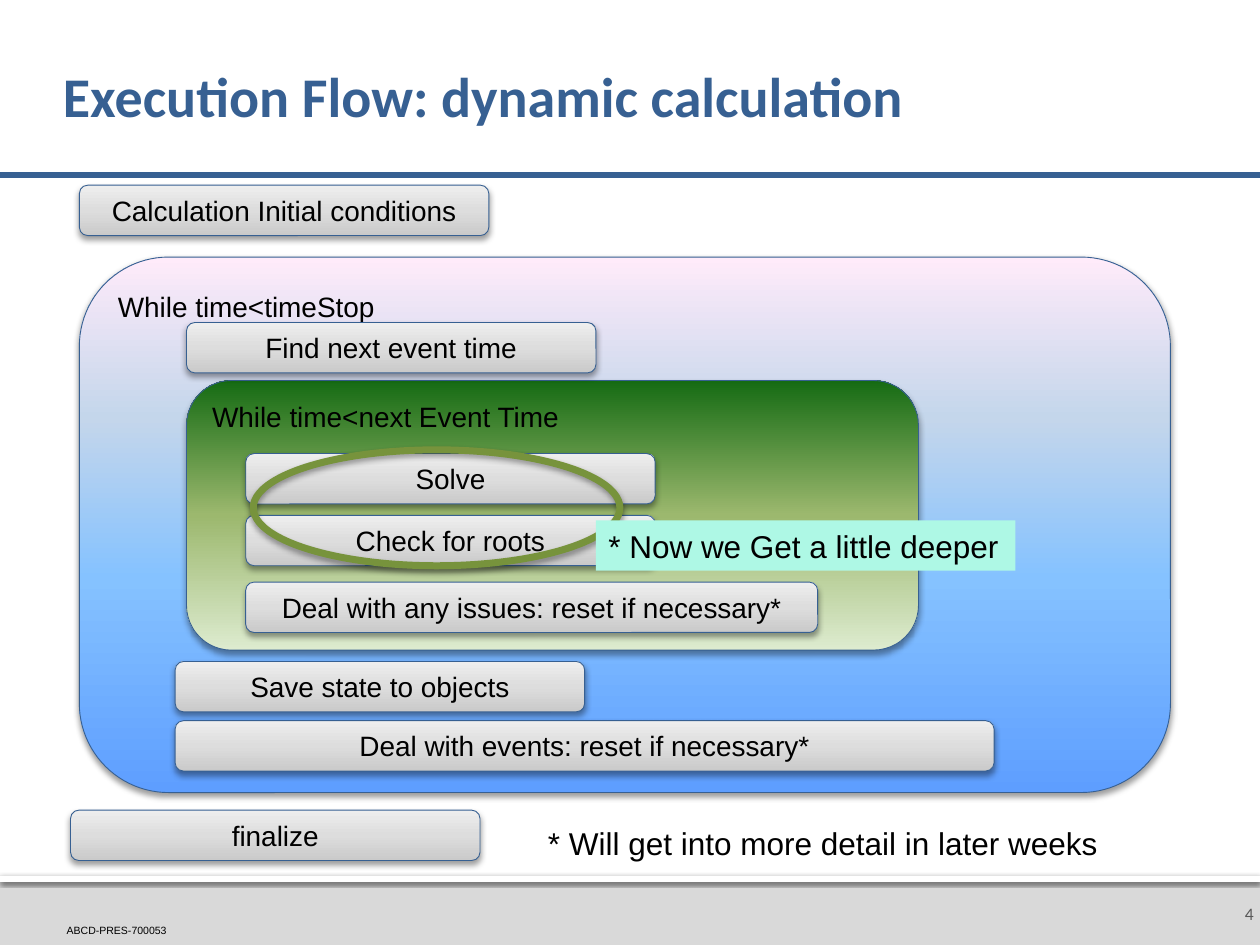
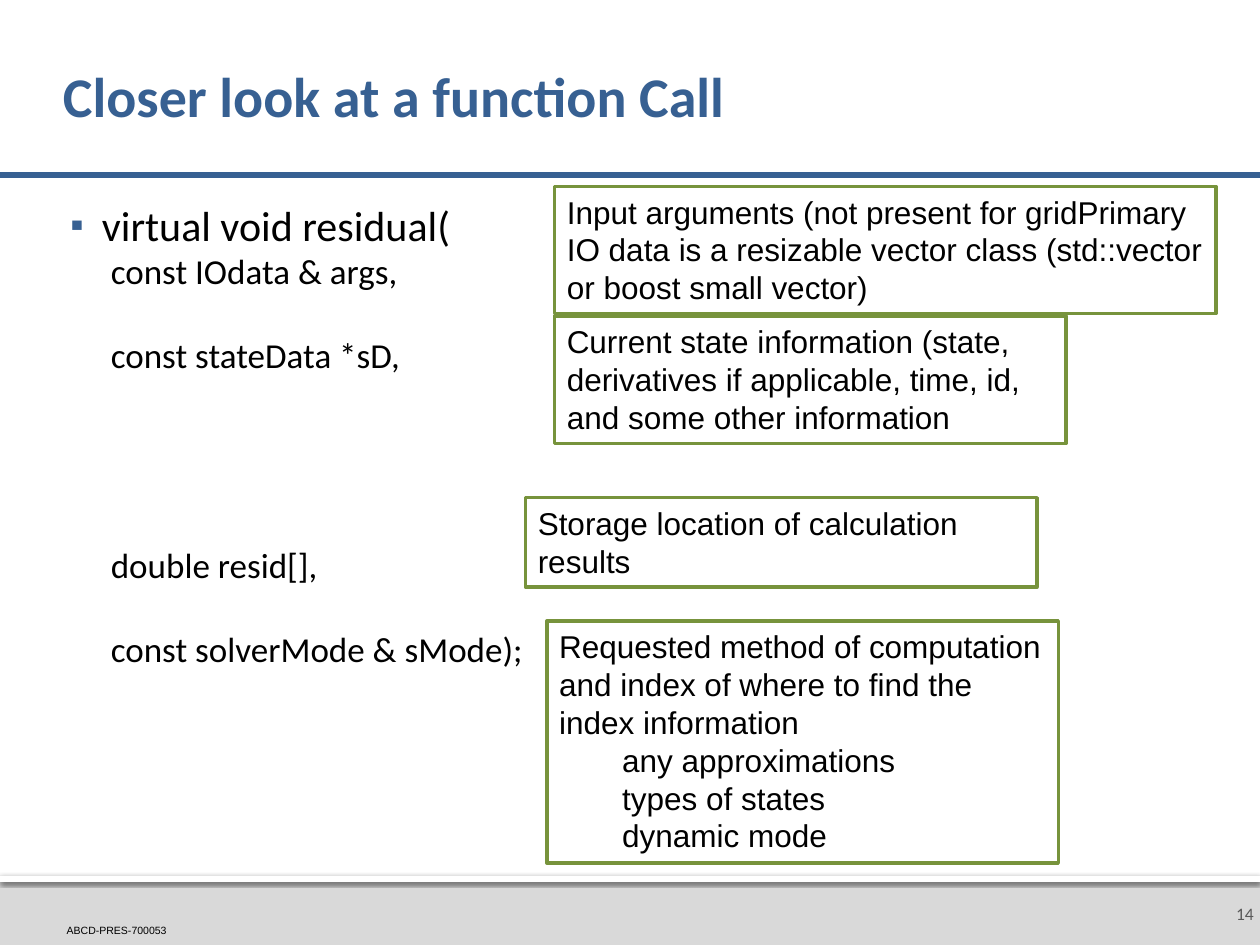
"""Build two slides on the execution flow and function calls of a grid simulator."""
from lxml.etree import SubElement
from pptx import Presentation
from pptx.dml.color import RGBColor as Rgb
from pptx.enum.shapes import MSO_CONNECTOR as Link, MSO_SHAPE as Kind
from pptx.enum.text import MSO_ANCHOR as Anchor, PP_ALIGN as Align
from pptx.oxml.ns import qn
from pptx.util import Inches, Pt

THEME = {
    "blue": "376092", "green": "77933C", "band": "D9D9D9", "white": "FFFFFF",
    "black": "000000", "number": "595959", "mint": "AEF8E5",
    "silver": [(0, "CACACA"), (50, "DDDDDD"), (100, "EEEEEE")],
    "sky": [(0, "5E9EFF"), (40, "85C2FF"), (70, "C4D6EB"), (100, "FFEBFA")],
    "forest": [(0, "DDEBCF"), (50, "9CB86E"), (100, "156B13")],
    "heading": "Calibri", "plain": "Arial",
    "title_size": Pt(32), "call_size": Pt(24), "argument_size": Pt(20),
    "note_size": Pt(18), "step_size": Pt(16), "number_size": Pt(10), "code_size": Pt(6),
    "soft": (38, 3.5, 2), "strip": (60, 2.5, 0.8),
}

deck = Presentation()
deck.slide_width, deck.slide_height = Inches(10), Inches(7.5)
COLUMNS, ROWS = 100, 75
column, row = deck.slide_width / COLUMNS, deck.slide_height / ROWS

FRAME_KEYS = ("word_wrap", "vertical_anchor", "margin_left", "margin_top",
              "margin_right", "margin_bottom")
PARA_KEYS = ("alignment", "line_spacing", "space_before")
FONT_KEYS = ("name", "size", "bold")

BASE = {"word_wrap": True, "vertical_anchor": Anchor.TOP, "alignment": Align.LEFT,
        "name": THEME["plain"], "size": THEME["note_size"], "color": THEME["black"]}
NO_MARGINS = dict.fromkeys(FRAME_KEYS[2:], 0)
TITLE = {"name": THEME["heading"], "size": THEME["title_size"], "bold": True,
         "color": THEME["blue"], "line_spacing": 0.9, "vertical_anchor": Anchor.MIDDLE,
         "margin_left": 0, "margin_right": Inches(0.05)}
CODE = NO_MARGINS | {"size": THEME["code_size"], "vertical_anchor": Anchor.BOTTOM}
NUMBER = {"name": THEME["heading"], "size": THEME["number_size"], "color": THEME["number"],
          "alignment": Align.RIGHT, "vertical_anchor": Anchor.MIDDLE,
          "margin_right": Inches(0.05)}
RAISED = {"line": THEME["blue"], "weight": 0.5, "shadow": THEME["soft"],
          "size": THEME["step_size"]}
STEP = RAISED | {"fill": THEME["silver"], "alignment": Align.CENTER,
                 "vertical_anchor": Anchor.BOTTOM}
RING = {"line": THEME["green"], "weight": 4, "shadow": THEME["soft"]}
NOTE = {"line": THEME["green"], "weight": 2}
CALL = NO_MARGINS | {"name": THEME["heading"], "size": THEME["argument_size"]}


def paint(box, style):
    """Set the fill, outline and shadow of a box."""
    properties = box._element.spPr
    fill = style.get("fill")
    if isinstance(fill, list):
        gradient = SubElement(properties, qn("a:gradFill"), rotWithShape="1")
        stops = SubElement(gradient, qn("a:gsLst"))
        for share, color in fill:
            stop = SubElement(stops, qn("a:gs"), pos=str(share * 1000))
            SubElement(stop, qn("a:srgbClr"), val=color)
        SubElement(gradient, qn("a:lin"), ang=str(270 * 60000), scaled="0")
    elif fill:
        box.fill.solid()
        box.fill.fore_color.rgb = Rgb.from_string(fill)
    else:
        box.fill.background()
    if "line" in style:
        box.line.color.rgb = Rgb.from_string(style["line"])
        box.line.width = Pt(style["weight"])
    else:
        box.line.fill.background()
    box.shadow.inherit = False
    if "shadow" in style:
        opacity, blur, distance = style["shadow"]
        shadow = SubElement(properties.find(qn("a:effectLst")), qn("a:outerShdw"),
                            blurRad=str(Pt(blur)), dist=str(Pt(distance)),
                            dir=str(90 * 60000), rotWithShape="0")
        tint = SubElement(shadow, qn("a:srgbClr"), val=THEME["black"])
        SubElement(tint, qn("a:alpha"), val=str(opacity * 1000))


def add_box(page, kind, at, style, *lines):
    """Place a box on the grid; a line is a text or a (text, format) pair."""
    left, top, width, height = at
    place = [round(size) for size in (left * column, top * row, width * column, height * row)]
    box = page.shapes.add_shape(kind, *place) if kind else page.shapes.add_textbox(*place)
    paint(box, style)
    style = BASE | style
    frame = box.text_frame
    for key in FRAME_KEYS:
        if key in style:
            setattr(frame, key, style[key])
    for index, line in enumerate(lines):
        text, extra = (line, {}) if isinstance(line, str) else line
        look = style | extra
        para = frame.add_paragraph() if index else frame.paragraphs[0]
        span = para.add_run()
        span.text = text
        for target, keys in ((para, PARA_KEYS), (span.font, FONT_KEYS)):
            for key in keys:
                if key in look:
                    setattr(target, key, look[key])
        span.font.color.rgb = Rgb.from_string(look["color"])
        settings = para._p.get_or_add_pPr()
        if "left" in look:
            settings.set("marL", str(Inches(look["left"])))
            settings.set("indent", str(Inches(look.get("hang", 0))))
        if "bullet" in look:
            color = SubElement(settings, qn("a:buClr"))
            SubElement(color, qn("a:srgbClr"), val=THEME["blue"])
            SubElement(settings, qn("a:buSzPct"), val="90000")
            SubElement(settings, qn("a:buFont"), typeface=THEME["plain"])
            SubElement(settings, qn("a:buChar"), char=look["bullet"])


pages = []
for title, number in (("Execution Flow: dynamic calculation", "4"),
                      ("Closer look at a function Call", "14")):
    page = deck.slides.add_slide(deck.slide_layouts[6])
    add_box(page, Kind.RECTANGLE, (0, 69.5, COLUMNS, 5.5), {"fill": THEME["band"]})
    add_box(page, Kind.RECTANGLE, (0, 69.5, COLUMNS, 0.5),
            {"fill": THEME["white"], "shadow": THEME["strip"]})
    add_box(page, None, (5.3, 73.3, 9.6, 1), CODE, "ABCD-PRES-700053")
    add_box(page, None, (96.5, 70, 3.5, 5), NUMBER, number)
    rule_top = round(13.9 * row)
    rule = page.shapes.add_connector(Link.STRAIGHT, 0, rule_top, deck.slide_width, rule_top)
    rule.line.color.rgb = Rgb.from_string(THEME["blue"])
    rule.line.width = Pt(3)
    SubElement(rule._element.spPr, qn("a:effectLst"))
    add_box(page, None, (5, 2.4, 90, 11), TITLE, title)
    pages.append(page)

flow, function = pages

for at, fill, condition in (
    ((6.3, 20.4, 86.6, 42.5), "sky", "While time<timeStop"),
    ((14.8, 30.2, 58.1, 21.4), "forest", "While time<next Event Time"),
):
    add_box(flow, Kind.ROUNDED_RECTANGLE, at, RAISED | {"fill": THEME[fill]}, condition)

STEP_WIDTH, STEP_HEIGHT = 32.5, 4
for left, top, width, step in (
    (6.3, 14.7, STEP_WIDTH, "Calculation Initial conditions"),
    (14.8, 25.6, STEP_WIDTH, "Find next event time"),
    (19.5, 36, STEP_WIDTH, "Solve"),
    (19.5, 40.9, STEP_WIDTH, "Check for roots"),
    (19.5, 46.2, 45.4, "Deal with any issues: reset if necessary*"),
    (13.9, 52.5, STEP_WIDTH, "Save state to objects"),
    (13.9, 57.2, 2 * STEP_WIDTH, "Deal with events: reset if necessary*"),
    (5.6, 64.3, STEP_WIDTH, "finalize"),
):
    add_box(flow, Kind.ROUNDED_RECTANGLE, (left, top, width, STEP_HEIGHT), STEP, step)

add_box(flow, None, (42.5, 64.9, 46.1, 4), {"word_wrap": False},
        "* Will get into more detail in later weeks")
add_box(flow, Kind.OVAL, (20.1, 35.7, 29.1, 9.2), RING)
add_box(flow, Kind.RECTANGLE, (47.3, 41.3, 33.3, 4),
        {"fill": THEME["mint"], "word_wrap": False}, "* Now we Get a little deeper")

LINE = 24
arguments = [(text, {"left": 0.38, "space_before": Pt(gap * LINE)}) for text, gap in (
    ("const IOdata & args,", 0),
    ("const stateData *sD,", 1),
    ("double resid[],", 4),
    ("const solverMode & sMode);", 1),
)]
add_box(function, None, (5, 15.8, 90, 53.7), CALL,
        ("virtual void residual(", {"size": THEME["call_size"], "left": 0.31,
                                    "hang": -0.25, "bullet": "▪"}),
        *arguments)

NOTE_WIDTH = 40.6
modes = [(text, {"left": 0.5})
         for text in ("any approximations", "types of states", "dynamic mode")]
for at, lines in (
    ((44, 14.8, 52.5, 10.1),
     ["Input arguments (not present for gridPrimary IO data is a resizable vector class "
      "(std::vector or boost small vector)"]),
    ((44, 25.1, NOTE_WIDTH, 10.1),
     ["Current state information (state, derivatives if applicable, time, id, "
      "and some other information"]),
    ((41.7, 39.5, NOTE_WIDTH, 7.1), ["Storage location of calculation results"]),
    ((43.4, 49.3, NOTE_WIDTH, 19.2),
     ["Requested method of computation and index of where to find the index information",
      *modes]),
):
    add_box(function, Kind.RECTANGLE, at, NOTE, *lines)

deck.save("out.pptx")
